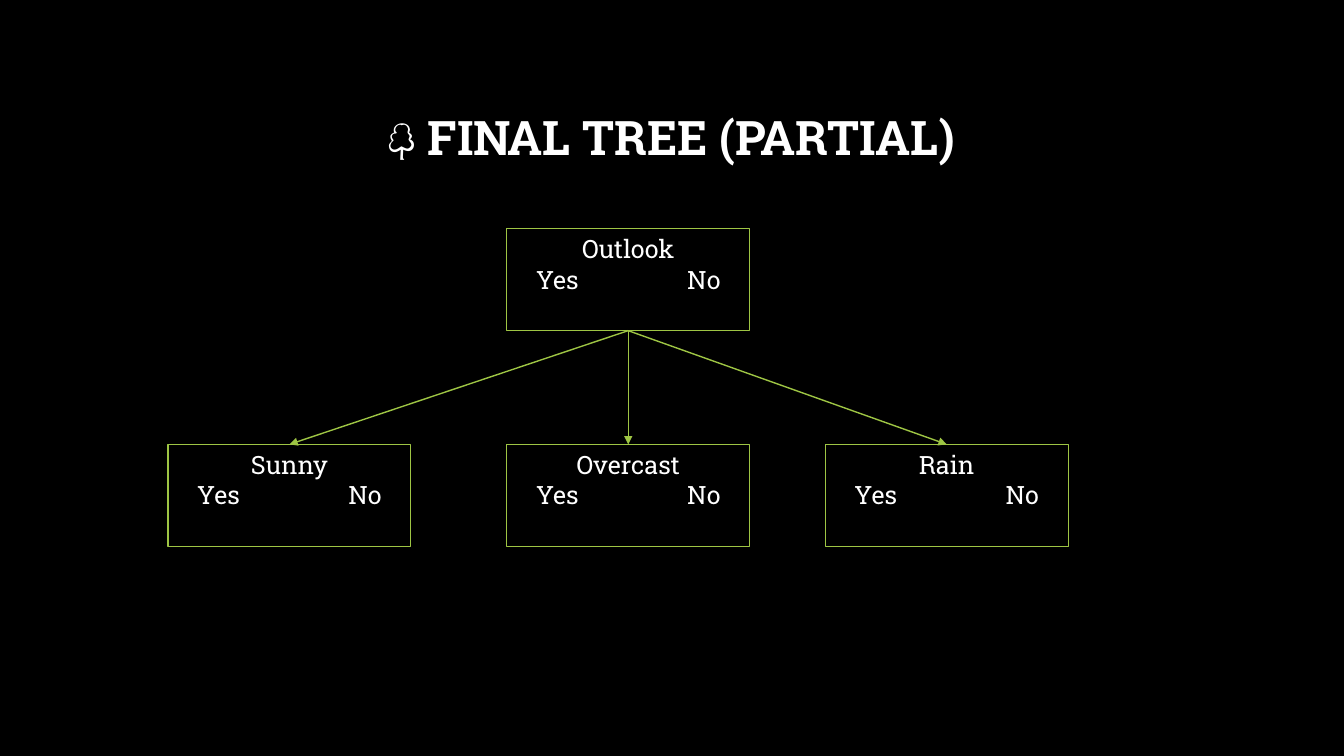
from lxml.etree import SubElement
from pptx import Presentation
from pptx.dml.color import RGBColor
from pptx.enum.shapes import MSO_CONNECTOR, MSO_SHAPE
from pptx.enum.text import MSO_ANCHOR, PP_ALIGN
from pptx.oxml.ns import qn
from pptx.util import Pt

COLOURS = {"background": "000000", "text": "FFFFFF", "line": "9EC544"}
FONT = "Roboto Slab"
NODE_WIDTH, NODE_HEIGHT = 173.5, 72.8
ROOT_LEFT, ROOT_TOP = 362, 163.4
LEAF_TOP = 317.4
LEAVES = {"Sunny": 120, "Overcast": ROOT_LEFT, "Rain": 589.5}
ANSWER_TAB = 108


class TreeSlide:
    """Draws the parts of a decision tree on one slide."""

    def __init__(self, deck):
        self.page = deck.slides.add_slide(deck.slide_layouts[5])
        fill = self.page.background.fill
        fill.solid()
        fill.fore_color.rgb = self.colour("background")

    def colour(self, name):
        """Return a named colour."""
        return RGBColor.from_string(COLOURS[name])

    def add_span(self, para, text, size, bold=False):
        """Add one centred run to a paragraph."""
        para.alignment = PP_ALIGN.CENTER
        span = para.add_run()
        span.text = text
        span.font.name = FONT
        span.font.size = Pt(size)
        span.font.bold = bold
        span.font.color.rgb = self.colour("text")

    def title(self, text):
        """Place and fill the title."""
        box = self.page.shapes.title
        box.left, box.top, box.width, box.height = Pt(72), Pt(48.2), Pt(815), Pt(104.4)
        frame = box.text_frame
        frame.word_wrap = True
        frame.vertical_anchor = MSO_ANCHOR.MIDDLE
        para = frame.paragraphs[0]
        para.line_spacing = 0.9
        self.add_span(para, text, 34, bold=True)

    def node(self, name, left, top):
        """Add an outlined node with its two answers."""
        box = self.page.shapes.add_shape(
            MSO_SHAPE.RECTANGLE, Pt(left), Pt(top), Pt(NODE_WIDTH), Pt(NODE_HEIGHT)
        )
        box.shadow.inherit = False
        box.fill.background()
        box.line.color.rgb = self.colour("line")
        box.line.width = Pt(0.75)
        frame = box.text_frame
        frame.word_wrap = True
        frame.vertical_anchor = MSO_ANCHOR.TOP
        self.add_span(frame.paragraphs[0], name, 18)
        answers = frame.add_paragraph()
        tabs = SubElement(answers._p.get_or_add_pPr(), qn("a:tabLst"))
        SubElement(tabs, qn("a:tab"), pos=str(Pt(ANSWER_TAB)), algn="l")
        self.add_span(answers, "Yes\tNo", 18)
        return box

    def branch(self, parent, child):
        """Join the bottom of a parent to the top of a child with an arrow."""
        arrow = self.page.shapes.add_connector(MSO_CONNECTOR.STRAIGHT, 0, 0, 0, 0)
        arrow.begin_connect(parent, 2)
        arrow.end_connect(child, 0)
        arrow.line.color.rgb = self.colour("line")
        arrow.line.width = Pt(1)
        properties = arrow._element.spPr
        SubElement(properties.find(qn("a:ln")), qn("a:tailEnd"), type="triangle")
        SubElement(properties, qn("a:effectLst"))


def main():
    """Build and save the deck."""
    deck = Presentation()
    deck.slide_width, deck.slide_height = Pt(960), Pt(540)
    tree = TreeSlide(deck)
    tree.title("🌳 FINAL TREE (PARTIAL)")
    root = tree.node("Outlook", ROOT_LEFT, ROOT_TOP)
    leaves = [tree.node(name, left, LEAF_TOP) for name, left in LEAVES.items()]
    for leaf in leaves:
        tree.branch(root, leaf)
    deck.save("out.pptx")


if __name__ == "__main__":
    main()
